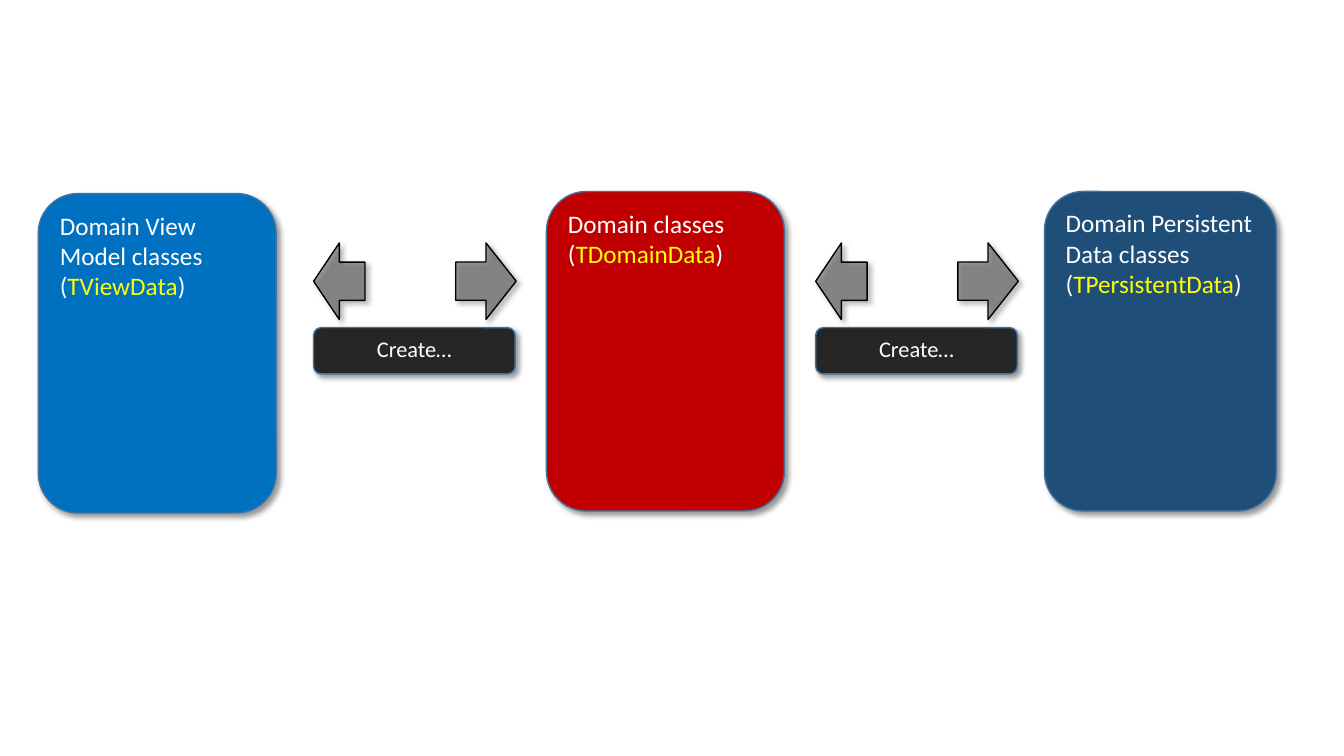
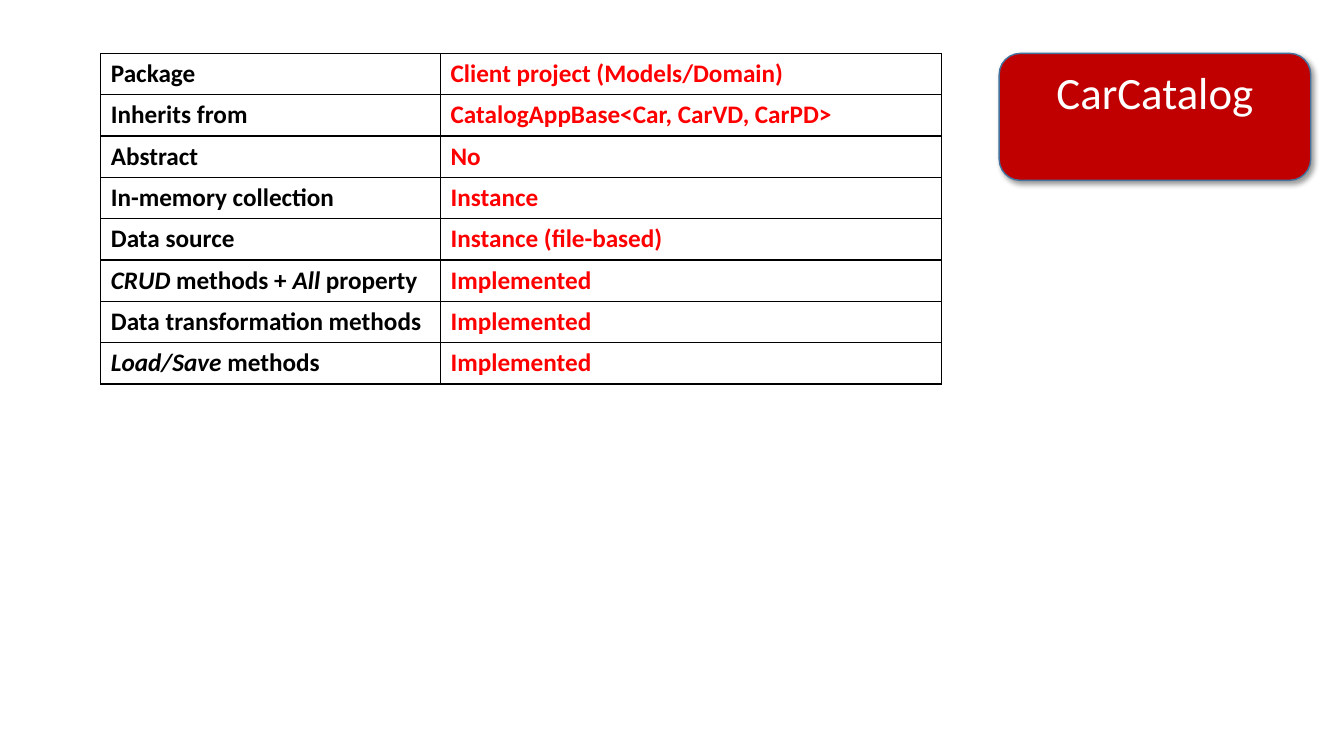
from lxml import etree
from pptx import Presentation, util as u
from pptx.dml.color import RGBColor
from pptx.enum import shapes, text
from pptx.oxml import ns

WHITE = RGBColor(0xFF, 0xFF, 0xFF)
BLACK = RGBColor(0x00, 0x00, 0x00)
YELLOW = RGBColor(0xFF, 0xFF, 0x00)
BRIGHT_RED = RGBColor(0xFF, 0x00, 0x00)
DOMAIN_RED = RGBColor(0xC0, 0x00, 0x00)
VIEW_BLUE = RGBColor(0x00, 0x70, 0xC0)
PERSISTENT_BLUE = RGBColor(0x1F, 0x4E, 0x79)
EDGE_BLUE = RGBColor(0x43, 0x73, 0x9E)
CHARCOAL = RGBColor(0x26, 0x26, 0x26)
ARROW_GREY = RGBColor(0x59, 0x59, 0x59)

LEFT = text.PP_ALIGN.LEFT
CENTER = text.PP_ALIGN.CENTER
ROUNDED = shapes.MSO_SHAPE.ROUNDED_RECTANGLE
ARROW = shapes.MSO_SHAPE.RIGHT_ARROW


def add_xml(parent, tag, **attributes):
    return etree.SubElement(parent, ns.qn(tag), attributes)


class Deck:
    font = "Calibri"

    def __init__(self):
        self.presentation = Presentation()
        self.presentation.slide_width = u.Inches(13.33)
        self.presentation.slide_height = u.Inches(7.5)
        self.slide = None

    def new_slide(self):
        self.slide = self.presentation.slides.add_slide(self.presentation.slide_layouts[6])

    def add_runs(self, paragraph, runs, **shared):
        for wording, extra in runs:
            run = paragraph.add_run()
            run.text = wording
            values = {"name": self.font, **shared, **extra}
            color = values.pop("color")
            for attribute, value in values.items():
                setattr(run.font, attribute, value)
            run.font.color.rgb = color

    def raised(self, kind, place, fill, edge):
        figure = self.slide.shapes.add_shape(kind, *map(u.Inches, place))
        figure.fill.solid()
        figure.fill.fore_color.rgb = fill
        figure.line.color.rgb = edge
        figure.line.width = u.Pt(1)
        figure.shadow.inherit = False
        effects = figure._element.spPr.find(ns.qn("a:effectLst"))
        shadow = add_xml(effects, "a:outerShdw", blurRad=str(u.Pt(4)), dist=str(u.Pt(3)),
                         dir="2700000", algn="tl", rotWithShape="0")
        add_xml(add_xml(shadow, "a:srgbClr", val=str(BLACK)), "a:alpha", val="40000")
        return figure

    def box(self, place, fill, paragraphs, size, align):
        frame = self.raised(ROUNDED, place, fill, EDGE_BLUE).text_frame
        frame.word_wrap = True
        frame.vertical_anchor = text.MSO_ANCHOR.TOP
        for index, runs in enumerate(paragraphs):
            paragraph = frame.add_paragraph() if index else frame.paragraphs[0]
            paragraph.alignment = align
            self.add_runs(paragraph, runs, size=u.Pt(size), color=WHITE)

    def layer(self, place, fill, title, type_name):
        generic = [("(", {}), (type_name, {"color": YELLOW}), (")", {})]
        self.box(place, fill, [[(title, {})], generic], 18, LEFT)

    def arrow(self, left, width, rotation):
        arrow = self.raised(ARROW, (left, 2.41, width, 0.76), ARROW_GREY, BLACK)
        arrow.rotation = rotation
        color = arrow._element.spPr.find(ns.qn("a:solidFill"))[0]
        add_xml(color, "a:alpha", val="60000")

    def conversion(self, left):
        self.box((left, 3.25, 2, 0.46), CHARCOAL, [[("Create…", {})]], 16, CENTER)
        self.arrow(left + 1.41, 0.6, 0)
        self.arrow(left, 0.51, 180)

    def cell(self, cell, runs, color):
        properties = cell._tc.get_or_add_tcPr()
        for side in ("a:lnL", "a:lnR", "a:lnT", "a:lnB"):
            border = add_xml(properties, side, w=str(u.Pt(1)))
            add_xml(add_xml(border, "a:solidFill"), "a:srgbClr", val=str(BLACK))
        cell.fill.background()
        self.add_runs(cell.text_frame.paragraphs[0], runs, size=u.Pt(18), bold=True, color=color)

    def fact_table(self, left, top, widths, row_height, facts):
        place = (left, top, sum(widths), row_height * len(facts))
        table = self.slide.shapes.add_table(len(facts), len(widths), *map(u.Inches, place)).table
        table.first_row = table.horz_banding = False
        for column, width in zip(table.columns, widths):
            column.width = u.Inches(width)
        for row, (label, value) in enumerate(facts):
            table.rows[row].height = u.Inches(row_height)
            self.cell(table.cell(row, 0), label, BLACK)
            self.cell(table.cell(row, 1), [(value, {})], BRIGHT_RED)


def main():
    deck = Deck()
    deck.new_slide()
    deck.layer((5.42, 1.9, 2.36, 3.17), DOMAIN_RED, "Domain classes", "TDomainData")
    deck.layer((0.38, 1.92, 2.36, 3.17), VIEW_BLUE, "Domain View Model classes", "TViewData")
    deck.layer((10.36, 1.9, 2.3, 3.17), PERSISTENT_BLUE,
               "Domain Persistent Data classes", "TPersistentData")
    for left in (3.11, 8.09):
        deck.conversion(left)

    deck.new_slide()
    deck.box((9.91, 0.53, 3.09, 1.26), DOMAIN_RED, [[("CarCatalog", {})]], 32, CENTER)
    italic = {"italic": True}
    deck.fact_table(1, 0.53, (3.37, 4.97), 0.41, [
        ([("Package", {})], "Client project (Models/Domain)"),
        ([("Inherits from", {})], "CatalogAppBase<Car, CarVD, CarPD>"),
        ([("Abstract", {})], "No"),
        ([("In-memory collection", {})], "Instance"),
        ([("Data source", {})], "Instance (file-based)"),
        ([("CRUD", italic), (" methods + ", {}), ("All", italic), (" property", {})],
         "Implemented"),
        ([("Data transformation methods", {})], "Implemented"),
        ([("Load/Save", italic), (" methods", {})], "Implemented"),
    ])
    deck.presentation.save("out.pptx")


if __name__ == "__main__":
    main()
